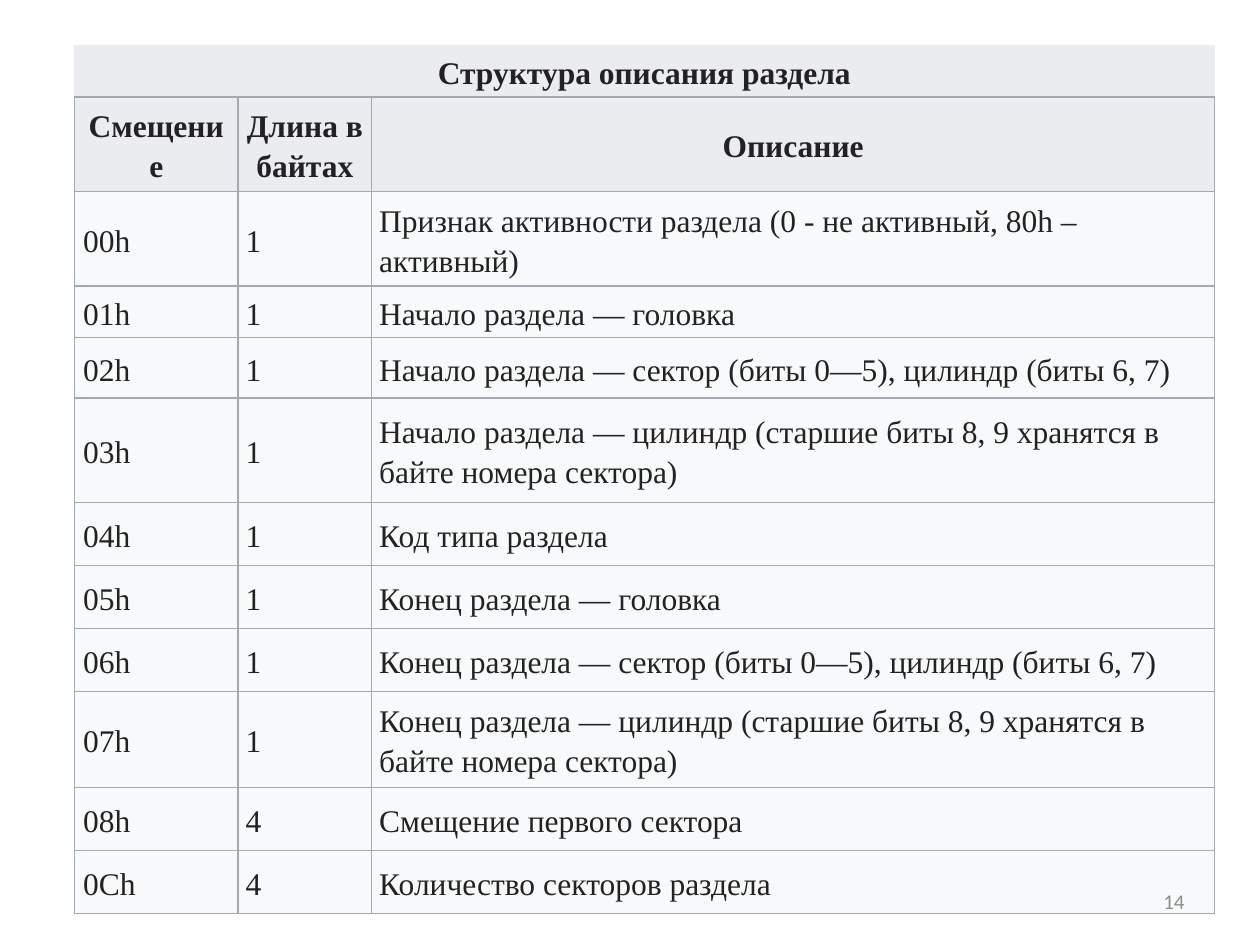
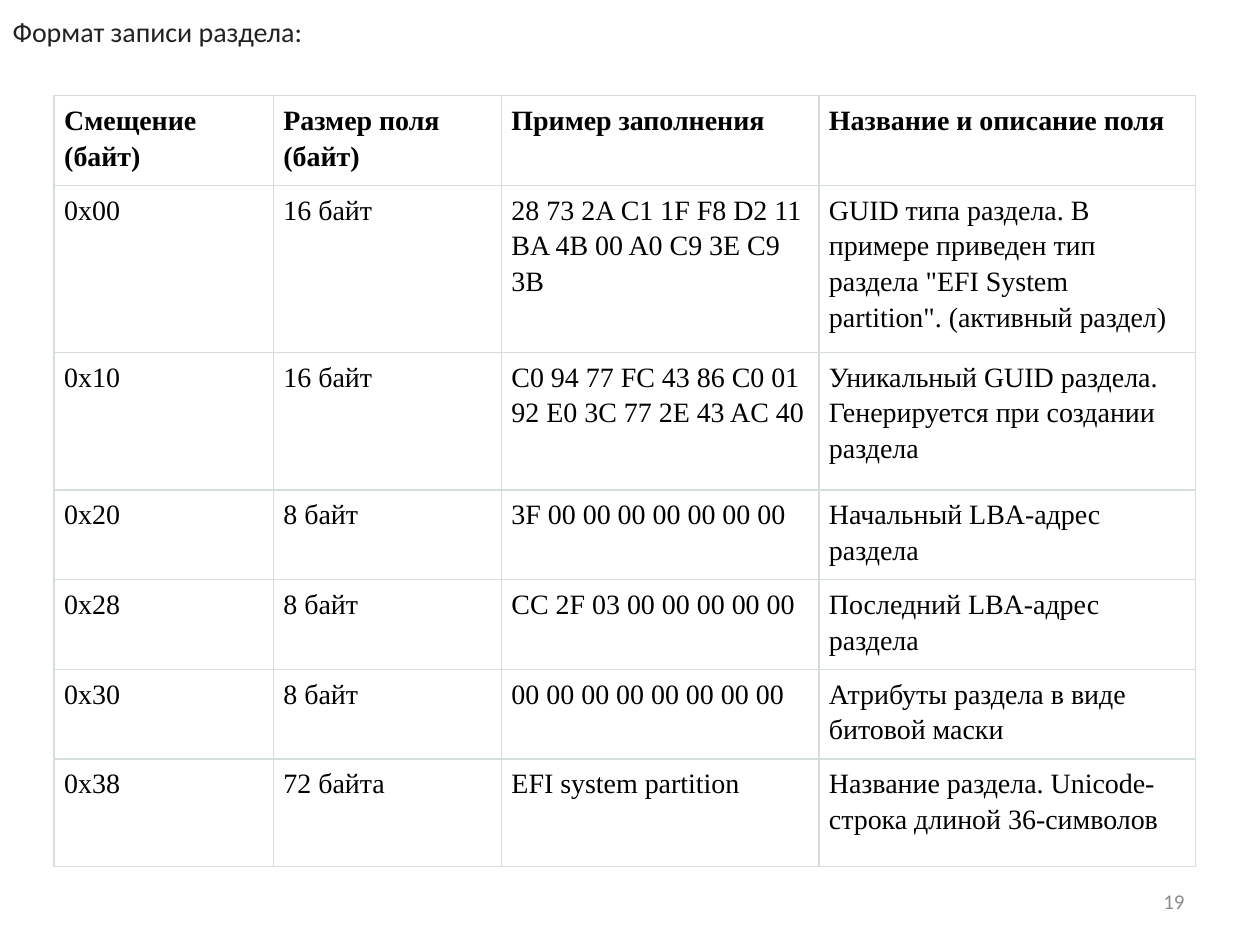
from dataclasses import dataclass
from lxml.etree import SubElement
from pptx import Presentation
from pptx.dml.color import RGBColor
from pptx.enum.text import MSO_ANCHOR as Anchor, MSO_AUTO_SIZE as Fit, PP_ALIGN as Align
from pptx.oxml.ns import qn
from pptx.util import Inches, Pt


@dataclass(frozen=True)
class Theme:
    serif: str = "Times New Roman"
    sans: str = "Calibri"
    ink: str = "222222"
    black: str = "000000"
    muted: str = "8C8C8C"
    head: str = "EAECF0"
    body: str = "F8F9FA"
    grid: str = "A2A9B1"
    pale: str = "D5DDDF"
    large: int = 18
    medium: int = 16
    small: int = 12
    line: float = 1.15


THEME = Theme()
PAGE = (7.17, 6.95, 2.33, 0.4)

MBR = dict(
    at=(0.59, 0.36),
    cols=[1.3, 1.06, 6.69],
    heights=[0.41, 0.75, 0.75, 0.41, 0.48, 0.83, 0.5, 0.5, 0.5, 0.76, 0.5, 0.5],
    rows=[
        ("Структура описания раздела", "", ""),
        ("Смещение", "Длина в байтах", "Описание"),
        ("00h", "1", "Признак активности раздела (0 - не активный, 80h – активный)"),
        ("01h", "1", "Начало раздела — головка"),
        ("02h", "1", "Начало раздела — сектор (биты 0—5), цилиндр (биты 6, 7)"),
        ("03h", "1", "Начало раздела — цилиндр (старшие биты 8, 9 хранятся в байте номера сектора)"),
        ("04h", "1", "Код типа раздела"),
        ("05h", "1", "Конец раздела — головка"),
        ("06h", "1", "Конец раздела — сектор (биты 0—5), цилиндр (биты 6, 7)"),
        ("07h", "1", "Конец раздела — цилиндр (старшие биты 8, 9 хранятся в байте номера сектора)"),
        ("08h", "4", "Смещение первого сектора"),
        ("0Ch", "4", "Количество секторов раздела"),
    ],
    heads=2, banner=True, sides=(0.07, 0.06, 0.06), ends=(0.03, 0.03),
    anchor=Anchor.MIDDLE, align=Align.CENTER,
    fills=(THEME.head, THEME.body), grid=THEME.grid,
    size=THEME.large, color=THEME.ink,
)

GPT = dict(
    at=(0.43, 0.76),
    cols=[1.74, 1.81, 2.52, 2.99],
    heights=[0.62, 1.25, 1.09, 0.62, 0.62, 0.62, 0.85],
    rows=[
        ("Смещение (байт)", "Размер поля (байт)", "Пример заполнения", "Название и описание поля"),
        ("0x00", "16 байт", "28 73 2A C1 1F F8 D2 11 BA 4B 00 A0 C9 3E C9 3B",
         'GUID типа раздела. В примере приведен тип раздела "EFI System partition". (активный раздел)'),
        ("0x10", "16 байт", "C0 94 77 FC 43 86 C0 01 92 E0 3C 77 2E 43 AC 40",
         "Уникальный GUID раздела. Генерируется при создании раздела"),
        ("0x20", "8 байт", "3F 00 00 00 00 00 00 00", "Начальный LBA-адрес раздела"),
        ("0x28", "8 байт", "CC 2F 03 00 00 00 00 00", "Последний LBA-адрес раздела"),
        ("0x30", "8 байт", "00 00 00 00 00 00 00 00", "Атрибуты раздела в виде битовой маски"),
        ("0x38", "72 байта", "EFI system partition",
         "Название раздела. Unicode-строка длиной 36-символов"),
    ],
    heads=1, banner=False, sides=(0.08,) * 4, ends=(0.04, 0.06),
    anchor=Anchor.TOP, align=Align.LEFT,
    fills=(None, None), grid=THEME.pale,
    size=THEME.medium, color=THEME.black,
)

SLIDES = [
    dict(title="", table=MBR, page="14"),
    dict(title="Формат записи раздела:", table=GPT, page="19"),
]


def style(para, face, size, color, bold=False, align=Align.LEFT):
    para.alignment = align
    for run in para.runs:
        font = run.font
        font.name, font.size, font.bold = face, Pt(size), bold
        font.color.rgb = RGBColor.from_string(color)


def edge(cell, color, sides):
    props = cell._tc.get_or_add_tcPr()
    for side in "LRTB":
        line = SubElement(props, qn(f"a:ln{side}"), w=str(Pt(1)))
        if side in sides:
            fill = SubElement(line, qn("a:solidFill"))
            SubElement(fill, qn("a:srgbClr"), val=color)
        else:
            SubElement(line, qn("a:noFill"))


def format_cell(cell, text, data, side, head, banner):
    edge(cell, data["grid"], "B" if banner else "LRTB")
    fill = data["fills"][0 if head else 1]
    if fill:
        cell.fill.solid()
        cell.fill.fore_color.rgb = RGBColor.from_string(fill)
    else:
        cell.fill.background()
    cell.margin_left = cell.margin_right = Inches(side)
    cell.margin_top, cell.margin_bottom = map(Inches, data["ends"])
    cell.vertical_anchor = data["anchor"]
    if text:
        cell.text_frame.text = text
        para = cell.text_frame.paragraphs[0]
        para.line_spacing = THEME.line
        style(para, THEME.serif, data["size"], data["color"], head,
              data["align"] if head else Align.LEFT)


def add_grid(slide, data):
    cols, heights, rows = data["cols"], data["heights"], data["rows"]
    box = (*data["at"], sum(cols), sum(heights))
    table = slide.shapes.add_table(len(rows), len(cols), *map(Inches, box)).table
    table.first_row = table.horz_banding = False
    for col, width in zip(table.columns, cols):
        col.width = Inches(width)
    for row, height in zip(table.rows, heights):
        row.height = Inches(height)
    if data["banner"]:
        table.cell(0, 0).merge(table.cell(0, len(cols) - 1))
    for r, row in enumerate(rows):
        for c, text in enumerate(row):
            format_cell(table.cell(r, c), text, data, data["sides"][c],
                        r < data["heads"], data["banner"] and r == 0)


def set_title(slide, text):
    title = slide.shapes.title
    title.left, title.top, title.width, title.height = map(Inches, (0, 0.06, 2.53, 0.37))
    frame = title.text_frame
    frame.text = text
    frame.word_wrap = False
    frame.auto_size = Fit.SHAPE_TO_FIT_TEXT
    frame.vertical_anchor = Anchor.MIDDLE
    style(frame.paragraphs[0], THEME.sans, THEME.medium, THEME.ink)


def add_page(slide, number):
    frame = slide.shapes.add_textbox(*map(Inches, PAGE)).text_frame
    frame.word_wrap = True
    frame.vertical_anchor = Anchor.MIDDLE
    frame.text = number
    style(frame.paragraphs[0], THEME.sans, THEME.small, THEME.muted, align=Align.RIGHT)


def main():
    deck = Presentation()
    deck.slide_width, deck.slide_height = Inches(10), Inches(7.5)
    for item in SLIDES:
        layout = deck.slide_layouts.get_by_name("Title Only" if item["title"] else "Blank")
        slide = deck.slides.add_slide(layout)
        if item["title"]:
            set_title(slide, item["title"])
        add_grid(slide, item["table"])
        add_page(slide, item["page"])
    deck.save("out.pptx")


if __name__ == "__main__":
    main()
